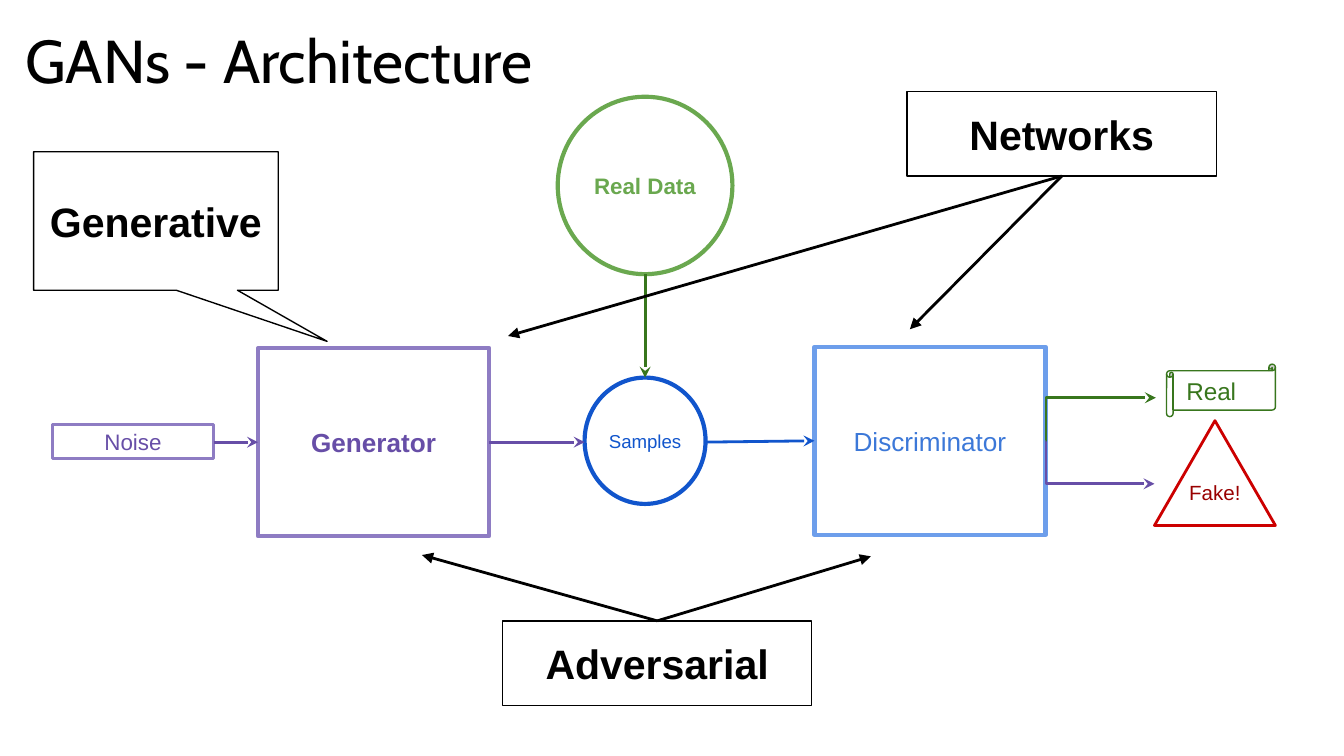
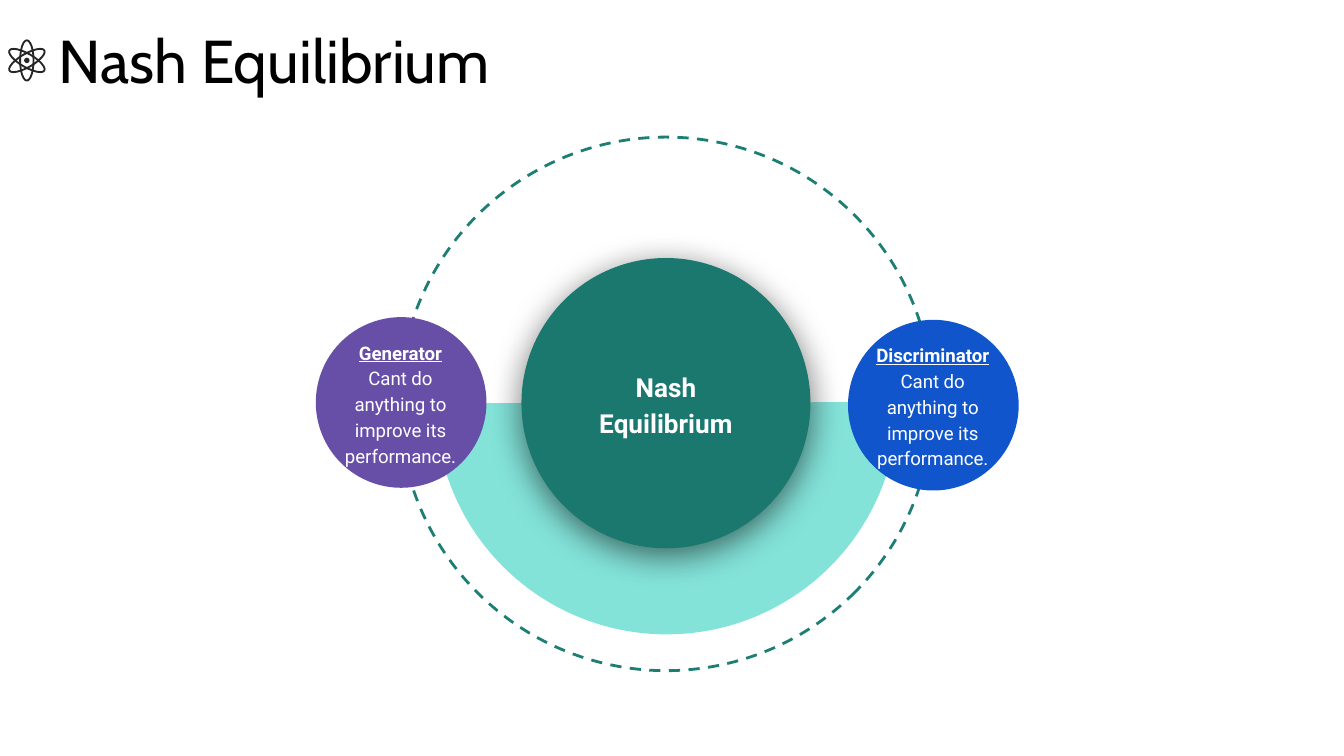
from lxml import etree
from pptx import Presentation
from pptx.dml.color import RGBColor as RGB
from pptx.enum.dml import MSO_LINE
from pptx.enum.shapes import MSO_CONNECTOR as CONN, MSO_SHAPE as SHAPE
from pptx.enum.text import MSO_ANCHOR as ANCHOR, PP_ALIGN as ALIGN
from pptx.oxml.ns import qn
from pptx.util import Emu, Pt

PX = 9144
COLORS = {
    "black": "000000", "white": "FFFFFF", "ink": "252525",
    "purple": "674EA7", "lilac": "8E7CC3",
    "blue": "1155CC", "mid_blue": "3C78D8", "sky": "6D9EEB",
    "green": "38761D", "leaf": "6AA84F",
    "red": "CC0000", "dark_red": "990000",
    "teal": "1B786E", "ring": "1D7E74", "mint": "83E3D9",
}
INSETS = (10, 10, 10, 10)
NO_INSETS = (0, 0, 0, 0)


def px(n):
    return Emu(n * PX)


def rgb(name):
    return RGB.from_string(COLORS[name])


def setup_text(sp, insets=INSETS, anchor=ANCHOR.MIDDLE):
    tf = sp.text_frame
    tf.word_wrap = True
    tf.vertical_anchor = anchor
    tf.margin_left, tf.margin_top, tf.margin_right, tf.margin_bottom = map(px, insets)
    return tf


def add_run(p, text, size, color, font="Arial", bold=False, underline=False):
    r = p.add_run()
    r.text = text
    r.font.name = font
    r.font.size = Pt(size)
    r.font.bold = bold
    r.font.underline = underline
    r.font.color.rgb = rgb(color)


def add_shape(s, kind, box, fill=None, line=None, width=1.5, rotation=0, adj=()):
    sp = s.shapes.add_shape(kind, *map(px, box))
    sp.shadow.inherit = False
    sp.rotation = rotation
    for i, value in enumerate(adj):
        sp.adjustments[i] = value
    if fill:
        sp.fill.solid()
        sp.fill.fore_color.rgb = rgb(fill)
    else:
        sp.fill.background()
    if line:
        sp.line.color.rgb = rgb(line)
        sp.line.width = Pt(width)
    else:
        sp.line.fill.background()
    return sp


def add_node(s, kind, box, text, size, color, line, width=2.25, bold=False,
             insets=INSETS, align=ALIGN.CENTER, adj=()):
    sp = add_shape(s, kind, box, "white", line, width, adj=adj)
    p = setup_text(sp, insets).paragraphs[0]
    p.alignment = align
    add_run(p, text, size, color, bold=bold)


def add_callout(s, kind, box, text, adj=()):
    add_node(s, kind, box, text, 22, "black", "black", 0.75, True, adj=adj)


def add_arrow(s, start, end, color, head="stealth", kind=CONN.STRAIGHT):
    c = s.shapes.add_connector(kind, *map(px, start + end))
    c.line.color.rgb = rgb(color)
    c.line.width = Pt(1.5)
    sp_pr = c._element.spPr
    etree.SubElement(sp_pr.find(qn("a:ln")), qn("a:tailEnd"), type=head)
    etree.SubElement(sp_pr, qn("a:effectLst"))
    if kind == CONN.ELBOW:
        guides = sp_pr.find(qn("a:prstGeom")).find(qn("a:avLst"))
        etree.SubElement(guides, qn("a:gd"), name="adj1", fmla="val 400")


def add_shadow(sp):
    effects = sp._element.spPr.find(qn("a:effectLst"))
    shadow = etree.SubElement(effects, qn("a:outerShdw"), blurRad=str(Pt(18)),
                              dist=str(Pt(4)), dir="5400000", rotWithShape="0")
    color = etree.SubElement(shadow, qn("a:srgbClr"), val=COLORS["black"])
    etree.SubElement(color, qn("a:alpha"), val="55000")


def add_title(s, left, text):
    sp = s.shapes.add_textbox(px(left), px(7), px(932), px(63))
    p = setup_text(sp, anchor=ANCHOR.TOP).paragraphs[0]
    add_run(p, text, 32.4, "black", "Cabin")


def add_atom(s, cx, cy):
    for rotation in (0, 60, 120):
        add_shape(s, SHAPE.OVAL, (cx - 5, cy - 15, 10, 30), line="ink",
                  width=1, rotation=rotation)
    add_shape(s, SHAPE.OVAL, (cx - 2, cy - 2, 4, 4), "ink")


def add_player(s, left, top, name, color):
    add_shape(s, SHAPE.OVAL, (left, top, 127, 127), color)
    sp = add_shape(s, SHAPE.RECTANGLE, (left + 18, top + 20, 90, 87), color)
    tf = setup_text(sp, NO_INSETS)
    heading, body = tf.paragraphs[0], tf.add_paragraph()
    for p in (heading, body):
        p.alignment = ALIGN.CENTER
        p.line_spacing = 1.15
    add_run(heading, name, 10, "white", "Roboto", True, True)
    add_run(body, "Cant do anything to improve its performance.", 10, "white", "Roboto")


def build_architecture(s):
    add_title(s, 9, "GANs - Architecture")
    add_node(s, SHAPE.RECTANGLE, (192, 259, 172, 140), "Generator", 14,
             "purple", "lilac", bold=True)
    add_node(s, SHAPE.RECTANGLE, (606, 258, 172, 140), "Discriminator", 14,
             "mid_blue", "sky")
    add_node(s, SHAPE.OVAL, (435, 281, 90, 94), "Samples", 10, "blue", "blue",
             insets=NO_INSETS)
    add_node(s, SHAPE.OVAL, (415, 72, 130, 132), "Real Data", 12, "leaf", "leaf",
             bold=True, insets=NO_INSETS)
    add_node(s, SHAPE.RECTANGLE, (39, 316, 120, 25), "Noise", 12, "purple", "lilac", 1.5)

    add_arrow(s, (159, 329), (192, 329), "purple")
    add_arrow(s, (364, 329), (435, 329), "purple")
    add_arrow(s, (524, 329), (606, 328), "blue")
    add_arrow(s, (480, 204), (480, 281), "green")
    add_arrow(s, (778, 328), (859, 360), "purple", kind=CONN.ELBOW)
    add_arrow(s, (778, 328), (860, 296), "green", kind=CONN.ELBOW)

    add_node(s, SHAPE.HORIZONTAL_SCROLL, (868, 271, 81, 39), "Real", 13,
             "green", "green", 0.75, align=ALIGN.LEFT)
    add_node(s, SHAPE.ISOSCELES_TRIANGLE, (859, 313, 90, 78), "Fake!", 11,
             "dark_red", "red", 1.5, insets=(0, 0, 0, 10))

    add_callout(s, SHAPE.RECTANGULAR_CALLOUT, (25, 113, 182, 103), "Generative",
                (0.7, 0.87))
    for text, left, top, start, targets in (
        ("Adversarial", 374, 462, (489, 462), ((314, 413), (648, 414))),
        ("Networks", 675, 68, (790, 131), ((378, 250), (677, 245))),
    ):
        add_callout(s, SHAPE.RECTANGLE, (left, top, 230, 63), text)
        for target in targets:
            add_arrow(s, start, target, "black", "triangle")


def build_equilibrium(s):
    add_title(s, 34, "Nash Equilibrium")
    add_atom(s, 20, 45)
    ring = add_shape(s, SHAPE.OVAL, (297, 102, 397, 397), line="ring", rotation=224.8)
    ring.line.dash_style = MSO_LINE.DASH
    add_shape(s, SHAPE.PIE, (324, 128, 344, 344), "mint", rotation=314.8,
              adj=(26.9, 135.11))
    add_shadow(add_shape(s, SHAPE.OVAL, (388, 192, 215, 216), "teal"))
    label = s.shapes.add_textbox(px(416), px(251), px(159), px(98))
    p = setup_text(label).paragraphs[0]
    p.alignment = ALIGN.CENTER
    p.line_spacing = 1.15
    add_run(p, "Nash Equilibrium", 14, "white", "Roboto", True)
    add_player(s, 235, 236, "Generator", "purple")
    add_player(s, 631, 238, "Discriminator", "blue")


def main():
    prs = Presentation()
    prs.slide_width = px(1000)
    prs.slide_height = prs.slide_width * 9 // 16
    for build in (build_architecture, build_equilibrium):
        build(prs.slides.add_slide(prs.slide_layouts[6]))
    prs.save("out.pptx")


if __name__ == "__main__":
    main()
